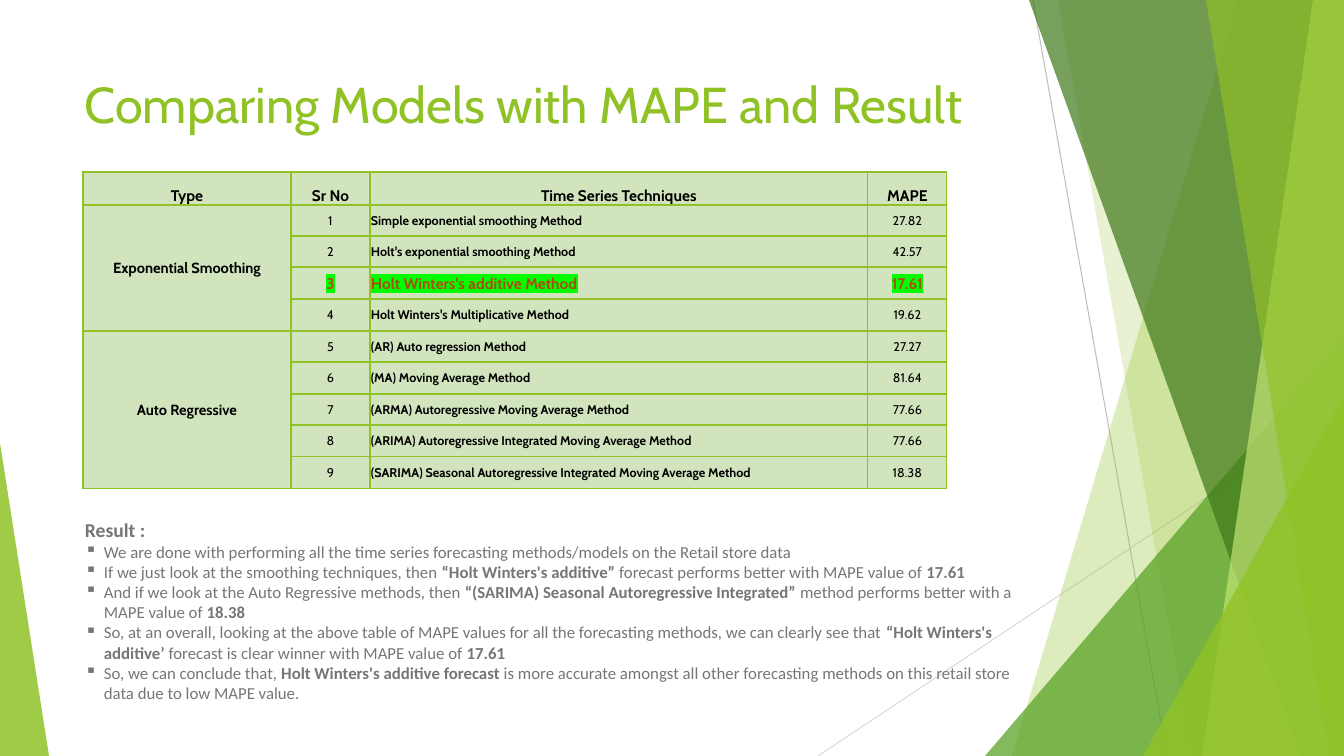
from dataclasses import dataclass

from lxml import etree
from pptx import Presentation
from pptx.dml.color import RGBColor
from pptx.enum.shapes import MSO_CONNECTOR, MSO_SHAPE
from pptx.enum.text import MSO_ANCHOR, PP_ALIGN
from pptx.oxml.ns import qn
from pptx.util import Pt

PIXEL = 914400 / 100.8
WIDTH, HEIGHT = 1344, 756
STRAIGHT = MSO_CONNECTOR.STRAIGHT
TRIANGLE = MSO_SHAPE.ISOSCELES_TRIANGLE
TOP, MIDDLE, BOTTOM = MSO_ANCHOR.TOP, MSO_ANCHOR.MIDDLE, MSO_ANCHOR.BOTTOM
LEFT, CENTER = PP_ALIGN.LEFT, PP_ALIGN.CENTER


@dataclass(frozen=True)
class Theme:
    """Colours, fonts and type sizes of the slide."""
    green: str = "90C226"
    leaf: str = "54A021"
    forest: str = "3F7819"
    lime: str = "C0E474"
    cell: str = "D2E4BE"
    black: str = "000000"
    gray: str = "767676"
    winner: str = "AD4C12"
    marker: str = "00FF00"
    dark_line: str = "BFBFBF"
    pale_line: str = "D9D9D9"
    heading_font: str = "Cabin"
    body_font: str = "Calibri"
    title: float = 36
    result: float = 14
    body: float = 12
    header: float = 11
    group: float = 10.5
    value: float = 9


THEME = Theme()
HEADERS = ("Type", "Sr No", "Time Series Techniques", "MAPE")
COLUMN_WIDTHS = (208, 79, 498, 79)
ROW_HEIGHTS = (33, 31, 31, 32, 32, 31, 32, 31, 32, 32)
BEST_METHOD = "Holt Winters's additive Method"
MODEL_GROUPS = {
    "Exponential Smoothing": (
        ("Simple exponential smoothing Method", "27.82"),
        ("Holt's exponential smoothing Method", "42.57"),
        (BEST_METHOD, "17.61"),
        ("Holt Winters's Multiplicative Method", "19.62"),
    ),
    "Auto Regressive": (
        ("(AR) Auto regression Method", "27.27"),
        ("(MA) Moving Average Method", "81.64"),
        ("(ARMA) Autoregressive Moving Average Method", "77.66"),
        ("(ARIMA) Autoregressive Integrated Moving Average Method", "77.66"),
        ("(SARIMA) Seasonal Autoregressive Integrated Moving Average Method", "18.38"),
    ),
}
# Double asterisks enclose bold words.
FINDINGS = (
    "We are done with performing all the time series forecasting methods/models "
    "on the Retail store data",
    "If we just look at the smoothing techniques, then **“Holt Winters's additive”** "
    "forecast performs better with MAPE value of **17.61**",
    "And if we look at the Auto Regressive methods, then **“(SARIMA) Seasonal "
    "Autoregressive Integrated”** method performs better with a MAPE value of **18.38**",
    "So, at an overall, looking at the above table of MAPE values for all the forecasting "
    "methods, we can clearly see that **“Holt Winters's additive’** forecast is clear "
    "winner with MAPE value of **17.61**",
    "So, we can conclude that, **Holt Winters's additive forecast** is more accurate amongst "
    "all other forecasting methods on this retail store data due to low MAPE value.",
)


def px(length):
    """Turn pixels into EMU."""
    return round(length * PIXEL)


def apply(target, formats):
    """Set every attribute named in a dict of format values."""
    for name, value in formats.items():
        setattr(target, name, value)


def add_run(paragraph, text, font, size, color, bold=False):
    """Add one formatted run to a paragraph."""
    run = paragraph.add_run()
    run.text = text
    apply(run.font, {"name": font, "size": Pt(size), "bold": bold})
    run.font.color.rgb = RGBColor.from_string(color)
    return run


def highlight(run, color):
    """Put a marker colour behind a run."""
    marker = etree.Element(qn("a:highlight"))
    etree.SubElement(marker, qn("a:srgbClr"), val=color)
    run.font.fill  # the text colour must come before the marker
    run.font._element.find(qn("a:solidFill")).addnext(marker)


def paint(shape, color, opacity):
    """Give a shape a translucent fill, no line and no shadow."""
    shape.shadow.inherit = False
    shape.line.fill.background()
    shape.fill.solid()
    shape.fill.fore_color.rgb = RGBColor.from_string(color)
    tint = shape._element.spPr.find(qn("a:solidFill")).find(qn("a:srgbClr"))
    etree.SubElement(tint, qn("a:alpha"), val=str(opacity * 1000))


def add_line(slide, start, end, color):
    """Draw a thin straight line without shadow."""
    line = slide.shapes.add_connector(STRAIGHT, *map(px, start + end))
    line.line.width = Pt(0.75)
    line.line.color.rgb = RGBColor.from_string(color)
    etree.SubElement(line._element.spPr, qn("a:effectLst"))


def add_band(slide, box, top_x, bottom_x, color, opacity):
    """Fill from a slanted edge to the right side of the box."""
    left, top, width, height = box
    right, bottom = left + width, top + height
    builder = slide.shapes.build_freeform(left + top_x, top, scale=PIXEL)
    builder.add_line_segments(
        [(right, top), (right, bottom), (left + bottom_x, bottom)], close=True)
    paint(builder.convert_to_shape(), color, opacity)


def add_corner(slide, box, left, width, height, apex, color, opacity):
    """Stand a right-angled triangle on the bottom of the box."""
    corner = slide.shapes.add_shape(
        TRIANGLE, px(box[0] + left), px(box[1] + box[3] - height), px(width), px(height))
    corner.adjustments[0] = apex
    paint(corner, color, opacity)


def add_facets(slide, box):
    """Draw the overlapping green facets and the two thin lines."""
    left, top, width, height = box
    bottom = top + height
    add_line(slide, (left + 1033, top), (left + 1167, bottom), THEME.dark_line)
    add_line(slide, (left + width, top + 406), (left + 818, bottom), THEME.pale_line)
    for draw, *values in (
        (add_band, 1238, 1012, THEME.green, 30),
        (add_band, 1058, 1192, THEME.green, 20),
        (add_corner, 985, 359, 420, 1, THEME.leaf, 72),
        (add_band, 1029, 1301, THEME.forest, 70),
        (add_band, 1313, 1202, THEME.lime, 70),
        (add_band, 1206, 1329, THEME.green, 65),
        (add_corner, 1143, 201, 360, 1, THEME.green, 80),
        (add_corner, 0, 49, 313, 0, THEME.green, 85),
    ):
        draw(slide, box, *values)


def add_text_frame(slide, box):
    """Add a wrapping, top-anchored text box and return its frame."""
    frame = slide.shapes.add_textbox(*map(px, box)).text_frame
    apply(frame, {"word_wrap": True, "vertical_anchor": TOP})
    return frame


def add_title(slide, box):
    """Write the slide title."""
    paragraph = add_text_frame(slide, box).paragraphs[0]
    add_run(paragraph, "Comparing Models with MAPE and Result",
            THEME.heading_font, THEME.title, THEME.green)


def fill_cell(cell, text, size, color=THEME.black, bold=False, align=CENTER, anchor=MIDDLE):
    """Write one table cell and return its run."""
    apply(cell, {"margin_left": px(1), "margin_right": px(1), "margin_top": px(1),
                 "margin_bottom": 0, "vertical_anchor": anchor})
    paragraph = cell.text_frame.paragraphs[0]
    paragraph.alignment = align
    return add_run(paragraph, text, THEME.heading_font, size, color, bold)


def style_cell(cell):
    """Give a cell its green borders and pale fill."""
    properties = cell._tc.get_or_add_tcPr()
    for side in ("a:lnL", "a:lnR", "a:lnT", "a:lnB"):
        border = etree.SubElement(properties, qn(side), w=str(Pt(1)))
        fill = etree.SubElement(border, qn("a:solidFill"))
        etree.SubElement(fill, qn("a:srgbClr"), val=THEME.green)
    cell.fill.solid()
    cell.fill.fore_color.rgb = RGBColor.from_string(THEME.cell)


def add_model_table(slide, box):
    """Build the table of forecasting methods and their MAPE."""
    table = slide.shapes.add_table(
        len(ROW_HEIGHTS), len(COLUMN_WIDTHS), *map(px, box)).table
    apply(table, {"first_row": False, "horz_banding": False})
    for column, width in zip(table.columns, COLUMN_WIDTHS):
        column.width = px(width)
    for row, height in zip(table.rows, ROW_HEIGHTS):
        row.height = px(height)
    for cell in table.iter_cells():
        style_cell(cell)
    for index, header in enumerate(HEADERS):
        fill_cell(table.cell(0, index), header, THEME.header, bold=True, anchor=BOTTOM)
    number = 1
    for group, methods in MODEL_GROUPS.items():
        group_cell = table.cell(number, 0)
        group_cell.merge(table.cell(number + len(methods) - 1, 0))
        fill_cell(group_cell, group, THEME.group, bold=True)
        for method, mape in methods:
            best = method == BEST_METHOD
            size, color = (THEME.header, THEME.winner) if best else (THEME.value, THEME.black)
            for index, text in enumerate((str(number), method, mape), start=1):
                is_method = text == method
                run = fill_cell(table.cell(number, index), text, size, color,
                                best or is_method, LEFT if is_method else CENTER)
                if best:
                    highlight(run, THEME.marker)
            number += 1


def add_result(slide, box):
    """Write the result heading and its bulleted findings."""
    frame = add_text_frame(slide, box)
    add_run(frame.paragraphs[0], "Result :", THEME.body_font, THEME.result, THEME.gray, True)
    for finding in FINDINGS:
        paragraph = frame.add_paragraph()
        properties = paragraph._p.get_or_add_pPr()
        apply_indent = {"marL": px(19), "indent": -px(19)}
        for name, value in apply_indent.items():
            properties.set(name, str(value))
        etree.SubElement(properties, qn("a:buChar"), char="▪")
        for index, text in enumerate(finding.split("**")):
            if text:
                add_run(paragraph, text, THEME.body_font, THEME.body, THEME.gray, index % 2 == 1)


def main():
    """Build and save the slide."""
    presentation = Presentation()
    apply(presentation, {"slide_width": px(WIDTH), "slide_height": px(HEIGHT)})
    slide = presentation.slides.add_slide(presentation.slide_layouts[6])
    add_facets(slide, (0, 0, WIDTH, HEIGHT))
    add_title(slide, (75, 68, 948, 145))
    add_model_table(slide, (83, 172, sum(COLUMN_WIDTHS), sum(ROW_HEIGHTS)))
    add_result(slide, (75, 513, 971, 197))
    presentation.save("out.pptx")


main()
